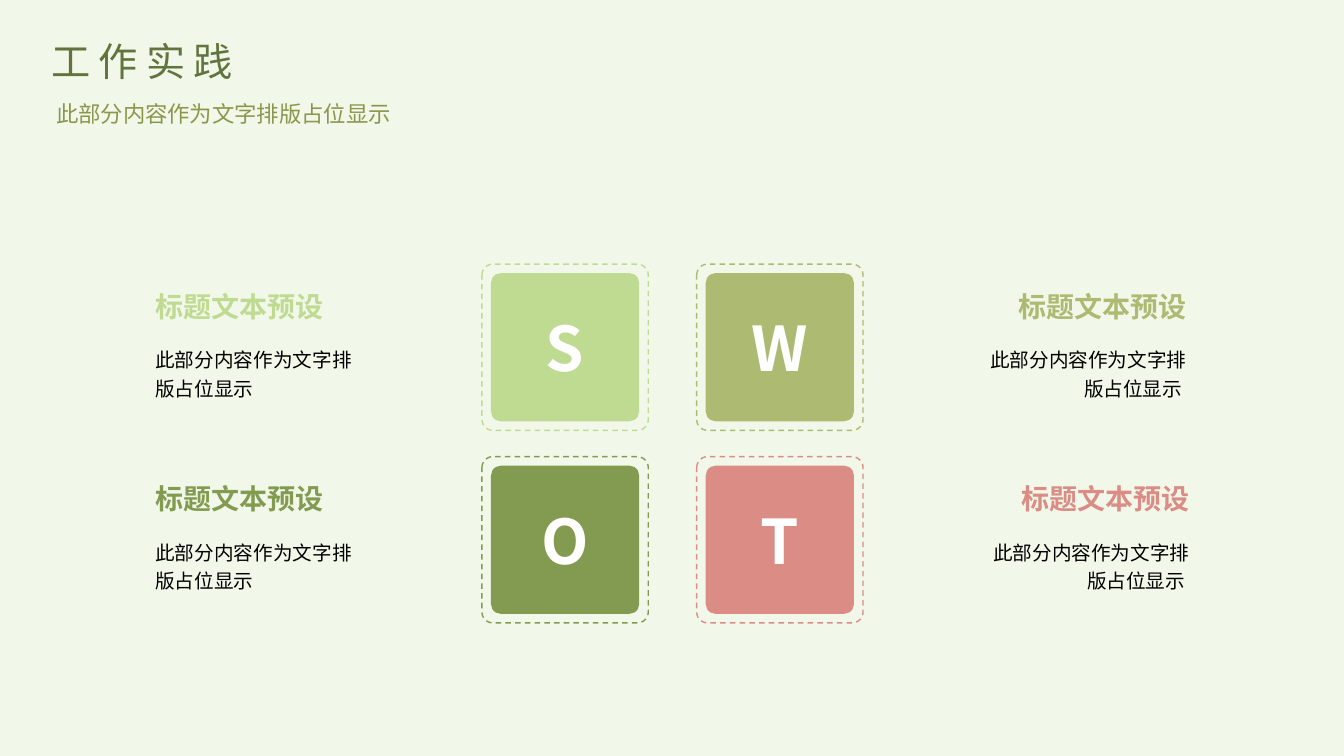
from dataclasses import dataclass

from lxml.etree import SubElement
from pptx import Presentation
from pptx.dml.color import RGBColor
from pptx.enum.dml import MSO_LINE
from pptx.enum.shapes import MSO_SHAPE
from pptx.enum.text import MSO_ANCHOR, PP_ALIGN
from pptx.oxml.ns import qn
from pptx.util import Inches, Pt


@dataclass(frozen=True)
class Theme:
    """Colours, font and type sizes of the slide."""
    font: str = "Noto Sans CJK SC"
    background: str = "F2F8E9"
    title: str = "62743D"
    subtitle: str = "88974A"
    body: str = "000000"
    letter: str = "FFFFFF"
    strengths: str = "BFDB91"
    weaknesses: str = "ACBA72"
    opportunities: str = "839B51"
    threats: str = "DA8C85"
    title_size: int = 28
    subtitle_size: int = 16
    letter_size: int = 44
    heading_size: int = 20
    body_size: int = 14


THEME = Theme()
PLACEHOLDER = "此部分内容作为文字排版占位显示"
HEADING = "标题文本预设"
FRAME_LEFT, FRAME_TOP = 4.78, 2.62
COLUMN_STEP, ROW_STEP = 2.13, 1.91
FRAME_SIDE, TILE_SIDE = 1.65, 1.47
CORNER = 0.066
LEFT_EDGE, RIGHT_EDGES = 1.54, (11.77, 11.8)
HEADING_WIDTH, BODY_WIDTH = 2.86, 1.99
QUADRANTS = (
    ("S", THEME.strengths, 0, 0),
    ("W", THEME.weaknesses, 0, 1),
    ("O", THEME.opportunities, 1, 0),
    ("T", THEME.threats, 1, 1),
)


def write(shape, text, size, color, bold=False, align=PP_ALIGN.LEFT, leading=None, spacing=0):
    """Write one run of styled text into a shape."""
    paragraph = shape.text_frame.paragraphs[0]
    paragraph.alignment = align
    if leading:
        paragraph.line_spacing = leading
    run = paragraph.add_run()
    run.text = text
    run.font.size = Pt(size)
    run.font.bold = bold
    run.font.name = THEME.font
    run.font.color.rgb = RGBColor.from_string(color)
    properties = run.font._element
    SubElement(properties, qn("a:ea")).set("typeface", THEME.font)
    if spacing:
        properties.set("spc", str(spacing * 100))


def add_label(slide, box, text, size, color, wrap=True, inset=True, anchor=MSO_ANCHOR.TOP, **style):
    """Place a text box, with or without inner margins."""
    label = slide.shapes.add_textbox(*map(Inches, box))
    frame = label.text_frame
    frame.word_wrap = wrap
    frame.vertical_anchor = anchor
    if not inset:
        frame.margin_left = frame.margin_top = frame.margin_right = frame.margin_bottom = 0
    write(label, text, size, color, **style)


def add_rounded_square(slide, left, top, side):
    """Place a plain rounded square without shadow."""
    square = slide.shapes.add_shape(
        MSO_SHAPE.ROUNDED_RECTANGLE, *map(Inches, (left, top, side, side)))
    square.adjustments[0] = CORNER
    square.shadow.inherit = False
    return square


def add_tile(slide, left, top, letter, color):
    """Draw a lettered tile inside its dashed frame."""
    margin = (FRAME_SIDE - TILE_SIDE) / 2
    tile = add_rounded_square(slide, left + margin, top + margin, TILE_SIDE)
    tile.fill.solid()
    tile.fill.fore_color.rgb = RGBColor.from_string(color)
    tile.line.fill.background()
    tile.text_frame.vertical_anchor = MSO_ANCHOR.MIDDLE
    write(tile, letter, THEME.letter_size, THEME.letter, bold=True, align=PP_ALIGN.CENTER)

    frame = add_rounded_square(slide, left, top, FRAME_SIDE)
    frame.fill.background()
    frame.line.color.rgb = RGBColor.from_string(color)
    frame.line.width = Pt(1)
    frame.line.dash_style = MSO_LINE.DASH


def add_description(slide, edge, top, color, on_right):
    """Set a heading and its body against the outer edge."""
    align = PP_ALIGN.RIGHT if on_right else PP_ALIGN.LEFT
    heading_left = edge - HEADING_WIDTH * on_right
    body_left = edge - BODY_WIDTH * on_right
    body = PLACEHOLDER + " " if on_right else PLACEHOLDER
    add_label(slide, (heading_left, top + 0.25, HEADING_WIDTH, 0.27), HEADING,
              THEME.heading_size, color, wrap=False, inset=False, bold=True, align=align)
    add_label(slide, (body_left, top + 0.77, BODY_WIDTH, 0.6), body, THEME.body_size,
              THEME.body, inset=False, anchor=MSO_ANCHOR.MIDDLE, align=align, leading=1.2)


def add_header(slide, left, top):
    """Place the title with the subtitle below it."""
    add_label(slide, (left, top, 2.75, 0.57), "工作实践",
              THEME.title_size, THEME.title, spacing=6)
    add_label(slide, (left, top + 0.57, 3.57, 0.4), PLACEHOLDER, THEME.subtitle_size,
              THEME.subtitle, wrap=False, align=PP_ALIGN.RIGHT, leading=1.2)


def add_swot(slide):
    """Lay out the four quadrants and their descriptions."""
    for letter, color, row, column in QUADRANTS:
        top = FRAME_TOP + row * ROW_STEP
        edge = RIGHT_EDGES[row] if column else LEFT_EDGE
        add_tile(slide, FRAME_LEFT + column * COLUMN_STEP, top, letter, color)
        add_description(slide, edge, top, color, on_right=column == 1)


def main():
    """Build and save the slide."""
    deck = Presentation()
    deck.slide_width, deck.slide_height = Inches(13.33), Inches(7.5)
    slide = deck.slides.add_slide(deck.slide_layouts[6])
    slide.background.fill.solid()
    slide.background.fill.fore_color.rgb = RGBColor.from_string(THEME.background)
    add_swot(slide)
    add_header(slide, 0.41, 0.32)
    deck.save("out.pptx")


if __name__ == "__main__":
    main()
